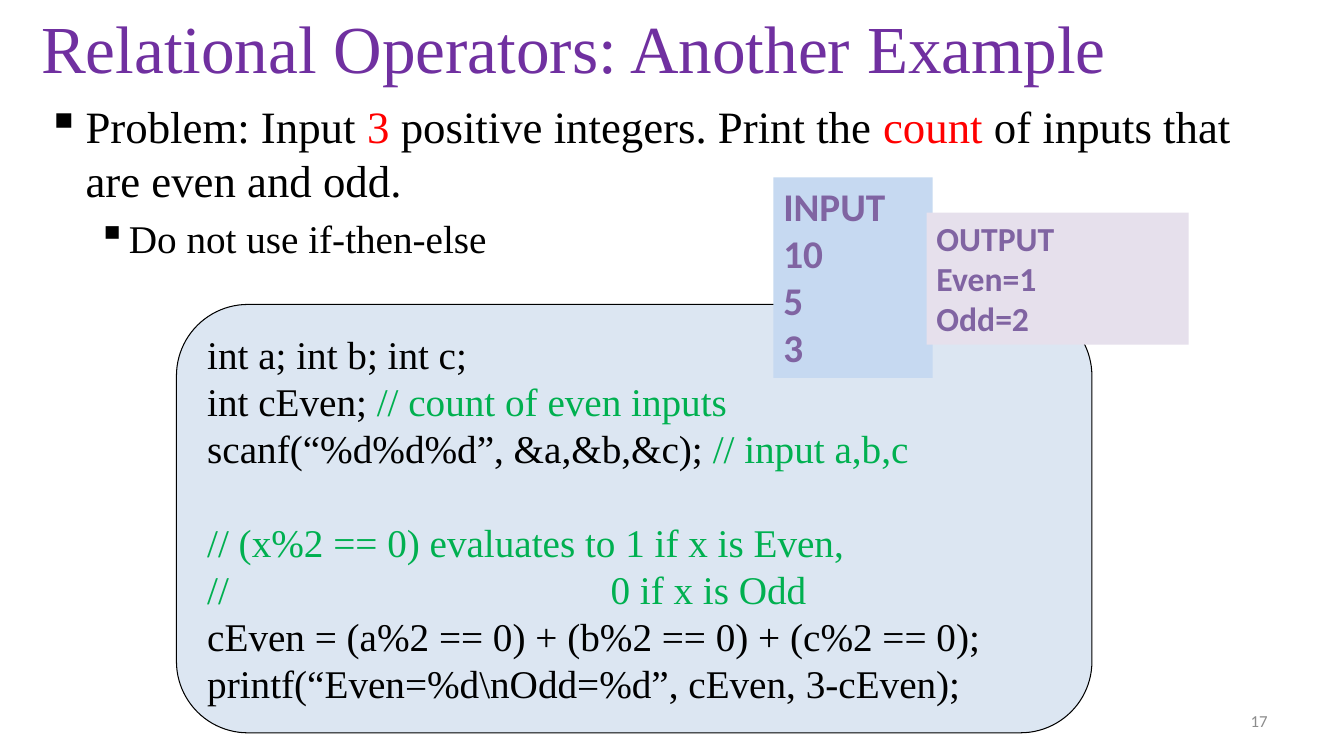
from pptx import Presentation
from pptx.dml.color import RGBColor
from pptx.enum.shapes import MSO_SHAPE
from pptx.enum.text import MSO_ANCHOR, PP_ALIGN
from pptx.oxml import parse_xml
from pptx.oxml.ns import nsdecls
from pptx.util import Inches, Pt

COLORS = {
    "title": "7030A0", "text": "000000", "accent": "FF0000", "comment": "00B050",
    "sample": "8064A2", "number": "8C8C8C",
    "code_fill": "DCE6F2", "input_fill": "C6D9F1", "output_fill": "E6E0EC",
}
SERIF, SANS = "Times New Roman", "Calibri"

PROBLEM = [("Problem: Input ", "text"), ("3", "accent"),
           (" positive integers. Print the ", "text"), ("count", "accent"),
           (" of inputs that are even and odd.", "text")]
HINT = [("Do not use if-then-else", "text")]
DECLARATIONS = [
    [("int a; int b; int c;", "text")],
    [("int cEven; ", "text"), ("// count of even inputs", "comment")],
    [("scanf(“%d%d%d”, &a,&b,&c); ", "text"), ("// input a,b,c", "comment")],
]
COUNTING = [
    [("// (x%2 == 0) evaluates to 1 if x is Even,", "comment")],
    [("//\t0 if x is Odd", "comment")],
    [("cEven = (a%2 == 0) + (b%2 == 0) + (c%2 == 0);", "text")],
    [("printf(“Even=%d\\nOdd=%d”, cEven, 3-cEven);", "text")],
]


def color(name):
    return RGBColor.from_string(COLORS[name])


def write_lines(text_frame, lines, size, font, bold=False):
    """Fill the frame with one paragraph per list of (text, color name) runs."""
    text_frame.word_wrap = True
    for index, line in enumerate(lines):
        paragraph = text_frame.paragraphs[0] if index == 0 else text_frame.add_paragraph()
        paragraph.alignment = PP_ALIGN.LEFT
        for text, color_name in line:
            run = paragraph.add_run()
            run.text = text
            run.font.size = Pt(size)
            run.font.name = font
            run.font.bold = bold
            run.font.color.rgb = color(color_name)


def add_text(slide, box, lines, size, font, anchor=MSO_ANCHOR.TOP):
    text_frame = slide.shapes.add_textbox(*map(Inches, box)).text_frame
    write_lines(text_frame, lines, size, font)
    text_frame.vertical_anchor = anchor
    return text_frame


def add_panel(slide, box, kind, fill):
    shape = slide.shapes.add_shape(kind, *map(Inches, box))
    shape.shadow.inherit = False
    shape.fill.solid()
    shape.fill.fore_color.rgb = color(fill)
    shape.line.fill.background()
    shape.text_frame.vertical_anchor = MSO_ANCHOR.TOP
    return shape


def set_bullet(paragraph, level, left, hanging, space_before):
    paragraph.level = level
    paragraph.space_before = Pt(space_before)
    properties = paragraph._p.get_or_add_pPr()
    properties.set("marL", str(Inches(left)))
    properties.set("indent", str(-Inches(hanging)))
    properties.append(parse_xml(f'<a:buChar {nsdecls("a")} char="▪"/>'))


def add_problem(slide, box):
    text_frame = add_text(slide, box, [PROBLEM, HINT], 32, SERIF)
    statement, hint = text_frame.paragraphs
    hint.runs[0].font.size = Pt(28)
    set_bullet(statement, 0, 0.38, 0.38, 6.4)
    set_bullet(hint, 1, 0.81, 0.31, 5.6)


def add_code(slide, box):
    shape = add_panel(slide, box, MSO_SHAPE.ROUNDED_RECTANGLE, "code_fill")
    shape.line.color.rgb = color("text")
    shape.line.width = Pt(0.75)
    write_lines(shape.text_frame, DECLARATIONS + COUNTING, 28, SERIF)
    paragraphs = shape.text_frame.paragraphs
    paragraphs[len(DECLARATIONS)].space_before = Pt(33.6)
    aligned_comment = paragraphs[len(DECLARATIONS) + 1]
    aligned_comment._p.get_or_add_pPr().append(parse_xml(
        f'<a:tabLst {nsdecls("a")}><a:tab pos="{Inches(4)}" algn="l"/></a:tabLst>'))


def add_sample(slide, box, fill, lines, size):
    shape = add_panel(slide, box, MSO_SHAPE.RECTANGLE, fill)
    write_lines(shape.text_frame, [[(line, "sample")] for line in lines], size, SANS, bold=True)


def add_slide_number(slide, box):
    text_frame = add_text(slide, box, [[("17", "number")]], 12, SANS, MSO_ANCHOR.MIDDLE)
    text_frame.paragraphs[0].alignment = PP_ALIGN.RIGHT


def main():
    presentation = Presentation()
    presentation.slide_width, presentation.slide_height = Inches(13.33), Inches(7.5)
    slide = presentation.slides.add_slide(presentation.slide_layouts[6])
    add_code(slide, (1.75, 3.02, 9.08, 4.25))
    add_text(slide, (0.31, 0.09, 11.36, 0.75),
             [[("Relational Operators: Another Example", "title")]], 48, SERIF, MSO_ANCHOR.MIDDLE)
    add_problem(slide, (0.37, 0.93, 12.05, 2.17))
    add_sample(slide, (7.67, 1.76, 1.58, 1.99), "input_fill", ["INPUT", "10", "5", "3"], 28)
    add_sample(slide, (9.19, 2.11, 2.6, 1.31), "output_fill", ["OUTPUT", "Even=1", "Odd=2"], 24)
    add_slide_number(slide, (9.56, 6.95, 3.11, 0.4))
    presentation.save("out.pptx")


if __name__ == "__main__":
    main()
